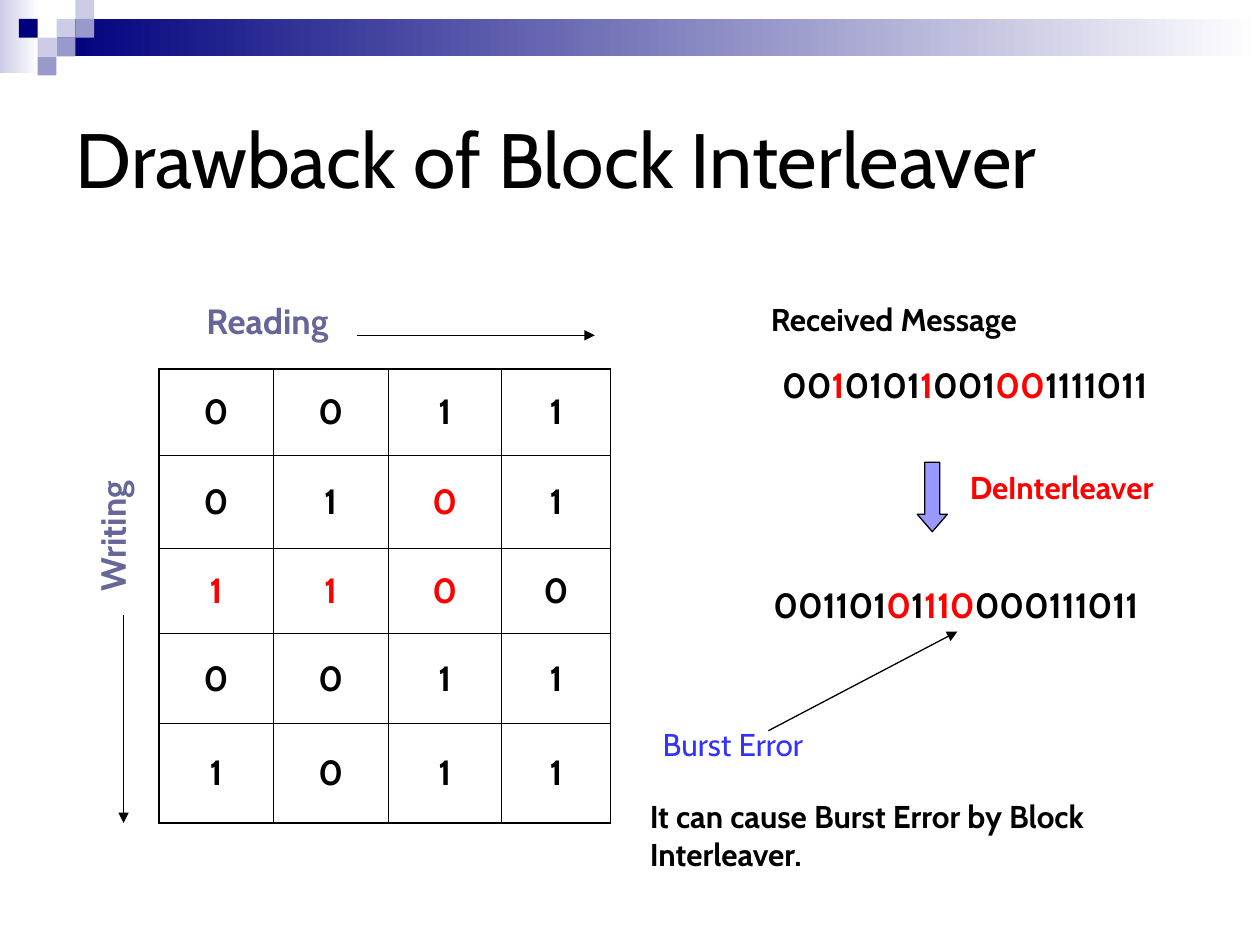
"""Build the slide on the drawback of a block interleaver."""
from lxml.etree import SubElement
from pptx import Presentation
from pptx.dml.color import RGBColor
from pptx.enum.shapes import MSO_CONNECTOR as CONN, MSO_SHAPE as SHAPE
from pptx.enum.text import MSO_ANCHOR as ANCHOR, PP_ALIGN as ALIGN
from pptx.oxml import parse_xml
from pptx.oxml.ns import nsdecls, qn
from pptx.util import Cm, Pt

BLACK = RGBColor(0x00, 0x00, 0x00)
WHITE = RGBColor(0xFF, 0xFF, 0xFF)
RED = RGBColor(0xFF, 0x00, 0x00)
BLUE = RGBColor(0x33, 0x33, 0xFF)
SLATE = RGBColor(0x66, 0x66, 0x99)
NAVY = RGBColor(0x00, 0x00, 0x7D)
PALE = RGBColor(0xCC, 0xCC, 0xE6)
LILAC = RGBColor(0x99, 0x99, 0xCC)
ARROW_FILL = RGBColor(0x99, 0x99, 0xFF)

UNIT = 0.38
SQUARES = [(3, 1, PALE), (4, 0, PALE), (4, 1, LILAC), (2, 2, PALE),
           (1, 1, NAVY), (3, 2, LILAC), (2, 3, LILAC)]
COLS = [2.31, 2.31, 2.29, 2.2]
ROWS = [1.73, 1.89, 1.71, 1.82, 2]
BITS = ["0 0 1 1", "0 1 |0| 1", "|1| |1| |0| 0", "0 0 1 1", "1 0 1 1"]


class Deck:
    def __init__(self, font):
        self.font = font
        self.prs = Presentation()
        self.prs.slide_width, self.prs.slide_height = Cm(25.4), Cm(19.05)
        self.s = self.prs.slides.add_slide(self.prs.slide_layouts[5])

    def put(self, tf, text, size, color=BLACK, bold=True, align=ALIGN.LEFT):
        """Set one paragraph; the parts between bars are red."""
        p = tf.paragraphs[0]
        p.alignment = align
        f = p.font
        f.name, f.size, f.bold = self.font, Pt(size), bold
        f.color.rgb = color
        for i, part in enumerate(text.split("|")):
            if part:
                r = p.add_run()
                r.text = part
                r.font.color.rgb = RED if i % 2 else color

    def title(self, text, x, y, w, h):
        sp = self.s.shapes.title
        sp.left, sp.top, sp.width, sp.height = Cm(x), Cm(y), Cm(w), Cm(h)
        sp.text_frame.vertical_anchor = ANCHOR.MIDDLE
        self.put(sp.text_frame, text, 44, bold=False)

    def text(self, text, x, y, w, h, size=18, color=BLACK, bold=True):
        sp = self.s.shapes.add_textbox(Cm(x), Cm(y), Cm(w), Cm(h))
        sp.text_frame.word_wrap = True
        self.put(sp.text_frame, text, size, color, bold)
        return sp

    def upward_text(self, *args, **style):
        sp = self.text(*args, **style)
        sp.rotation = 180
        tf = sp.text_frame
        tf.margin_left = tf.margin_right = Cm(0.13)
        tf.margin_top = tf.margin_bottom = Cm(0.25)
        next(sp.element.iter(qn("a:bodyPr"))).set("vert", "eaVert")

    def shape(self, kind, x, y, w, h, fill, line=None):
        sp = self.s.shapes.add_shape(kind, Cm(x), Cm(y), Cm(w), Cm(h))
        sp.shadow.inherit = False
        sp.fill.solid()
        sp.fill.fore_color.rgb = fill
        if line is None:
            sp.line.fill.background()
        else:
            sp.line.color.rgb, sp.line.width = line, Pt(0.75)
        return sp

    def fade(self, x, y, w, h, color):
        fill = self.shape(SHAPE.RECTANGLE, x, y, w, h, color).fill
        fill.gradient()
        fill.gradient_angle = 0
        for stop, rgb in zip(fill.gradient_stops, (color, WHITE)):
            stop.color.rgb = rgb

    def arrow(self, x1, y1, x2, y2):
        c = self.s.shapes.add_connector(CONN.STRAIGHT, Cm(x1), Cm(y1), Cm(x2), Cm(y2))
        c.line.color.rgb, c.line.width = BLACK, Pt(0.75)
        pr = c.element.spPr
        SubElement(pr.find(qn("a:ln")), qn("a:tailEnd"), type="triangle")
        SubElement(pr, qn("a:effectLst"))

    def borders(self, cell, outer):
        pr = cell._tc.get_or_add_tcPr()
        for i, (side, is_outer) in enumerate(zip("LRTB", outer)):
            width = Pt(1.08 if is_outer else 0.45)
            pr.insert(i, parse_xml(
                f'<a:ln{side} {nsdecls("a")} w="{width}"><a:solidFill>'
                f'<a:srgbClr val="{BLACK}"/></a:solidFill></a:ln{side}>'))

    def table(self, x, y, cols, rows, lines):
        t = self.s.shapes.add_table(len(rows), len(cols), Cm(x), Cm(y),
                                    Cm(sum(cols)), Cm(sum(rows))).table
        t.first_row = t.horz_banding = False
        for col, w in zip(t.columns, cols):
            col.width = Cm(w)
        for i, (h, line) in enumerate(zip(rows, lines)):
            t.rows[i].height = Cm(h)
            for j, bit in enumerate(line.split()):
                cell = t.cell(i, j)
                cell.fill.background()
                cell.vertical_anchor = ANCHOR.MIDDLE
                self.put(cell.text_frame, bit, 20, align=ALIGN.CENTER)
                self.borders(cell, (j == 0, j == len(cols) - 1,
                                    i == 0, i == len(rows) - 1))


def main():
    d = Deck("Cabin")
    d.fade(0, 0, 0.79, 1.47, PALE)
    d.fade(3 * UNIT, UNIT, 25.4 - 3 * UNIT, 2 * UNIT, NAVY)
    for col, row, color in SQUARES:
        d.shape(SHAPE.RECTANGLE, col * UNIT, row * UNIT, UNIT, UNIT, color)
    d.title("Drawback of Block Interleaver", 1.27, 1.27, 22.86, 3.81)

    d.table(3.2, 7.44, COLS, ROWS, BITS)
    d.text("Reading", 3.91, 5.92, 3.38, 1.12, size=20, color=SLATE)
    d.arrow(7.19, 6.76, 11.99, 6.76)
    d.upward_text("Writing", 1.7, 9.25, 1.35, 2.92, size=20, color=SLATE)
    d.arrow(2.49, 12.4, 2.49, 16.59)

    d.text("Received Message", 15.29, 5.92, 7.19, 1.02)
    d.text("00|1|0101|1|001|00|1111011", 15.52, 7.21, 8.6, 1.12, size=20)
    sp = d.shape(SHAPE.DOWN_ARROW, 18.49, 9.32, 0.61, 1.4, ARROW_FILL, BLACK)
    sp.adjustments[0], sp.adjustments[1] = 0.5, 0.58
    d.text("DeInterleaver", 19.3, 9.32, 6.1, 1.02, color=RED)
    d.text("001101|0|1|110|000111011", 15.34, 11.63, 8.6, 1.12, size=20)
    d.text("Burst Error", 13.11, 14.5, 5.41, 1.02, color=BLUE, bold=False)
    d.arrow(15.49, 14.73, 19.3, 12.73)
    d.text("It can cause Burst Error by Block Interleaver.", 12.85, 15.95, 11.66, 1.78)
    d.prs.save("out.pptx")


if __name__ == "__main__":
    main()
